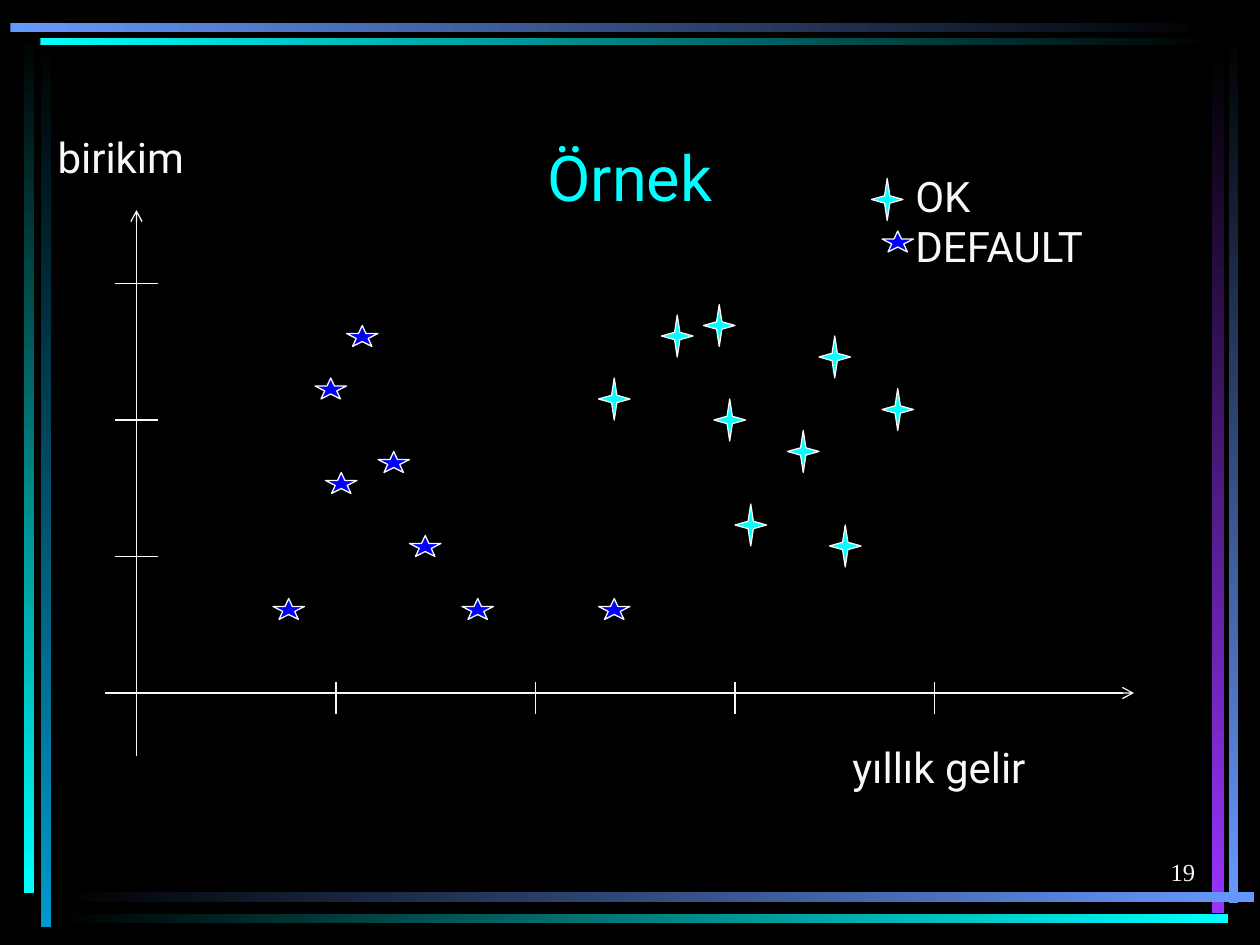
from lxml.etree import SubElement
from pptx import Presentation
from pptx.dml.color import RGBColor
from pptx.enum.shapes import MSO_CONNECTOR as CONNECTOR, MSO_SHAPE as SHAPE
from pptx.enum.text import MSO_ANCHOR as ANCHOR, MSO_AUTO_SIZE as AUTO_SIZE, PP_ALIGN as ALIGN
from pptx.oxml.ns import qn
from pptx.util import Pt

PX = 3810
COLORS = {
    "black": "000000",
    "white": "F8F8F8",
    "cyan": "00FFFF",
    "blue": "0000FF",
    "sky": "6699FF",
    "teal": "0099CC",
    "purple": "9933FF",
}


def rgb(name):
    return RGBColor.from_string(COLORS[name])


def emu(*lengths):
    return [length * PX for length in lengths]


class SlideBuilder:
    font = "Roboto"
    line_width = Pt(0.75)

    def __init__(self, slide):
        self.slide = slide
        self.shapes = slide.shapes
        fill = slide.background.fill
        fill.solid()
        fill.fore_color.rgb = rgb("black")

    def bar(self, left, top, width, height, start, end):
        shape = self.shapes.add_shape(SHAPE.RECTANGLE, *emu(left, top, width, height))
        shape.shadow.inherit = False
        shape.line.fill.background()
        shape.fill.gradient()
        shape.fill.gradient_angle = 0 if width > height else 270
        for stop, position, color in zip(shape.fill.gradient_stops, (0, 1), (start, end)):
            stop.position = position
            stop.color.rgb = rgb(color)

    def line(self, x1, y1, x2, y2, arrow=None):
        connector = self.shapes.add_connector(CONNECTOR.STRAIGHT, *emu(x1, y1, x2, y2))
        connector.line.color.rgb = rgb("white")
        connector.line.width = self.line_width
        if arrow:
            SubElement(connector.line._get_or_add_ln(), qn(f"a:{arrow}End"), type="arrow")
        SubElement(connector._element.spPr, qn("a:effectLst"))

    def style_marker(self, shape, color):
        shape.shadow.inherit = False
        shape.fill.solid()
        shape.fill.fore_color.rgb = rgb(color)
        shape.line.color.rgb = rgb("white")
        shape.line.width = self.line_width

    def default_marker(self, left, top):
        shape = self.shapes.add_shape(SHAPE.STAR_5_POINT, *emu(left, top, 60, 40))
        self.style_marker(shape, "blue")

    def ok_marker(self, left, top):
        points = [(0, 40), (25, 33), (30, 0), (35, 33), (60, 40), (35, 47), (30, 80), (25, 47)]
        vertices = [emu(left + x, top + y) for x, y in points]
        builder = self.shapes.build_freeform(*vertices[0])
        builder.add_line_segments(vertices[1:], close=True)
        self.style_marker(builder.convert_to_shape(), "cyan")

    def text(self, left, top, width, height, text, size=24, color="white", font=None,
             align=ALIGN.LEFT, anchor=ANCHOR.TOP, wrap=True, grow=False):
        frame = self.shapes.add_textbox(*emu(left, top, width, height)).text_frame
        frame.text = text
        frame.word_wrap = wrap
        frame.vertical_anchor = anchor
        frame.auto_size = AUTO_SIZE.SHAPE_TO_FIT_TEXT if grow else AUTO_SIZE.NONE
        for paragraph in frame.paragraphs:
            paragraph.alignment = align
            for run in paragraph.runs:
                run.font.name = font or self.font
                run.font.size = Pt(size)
                run.font.color.rgb = rgb(color)


def main():
    presentation = Presentation()
    presentation.slide_width, presentation.slide_height = emu(2400, 1800)
    builder = SlideBuilder(presentation.slides.add_slide(presentation.slide_layouts[6]))

    for bar in [
        (79, 67, 19, 1699, "black", "teal"),
        (46, 60, 19, 1642, "black", "cyan"),
        (2342, 58, 17, 1663, "black", "sky"),
        (2309, 101, 22, 1639, "black", "purple"),
        (108, 1699, 2280, 19, "black", "sky"),
        (108, 1740, 2232, 19, "black", "cyan"),
        (77, 72, 2237, 14, "cyan", "black"),
        (20, 44, 2294, 17, "sky", "black"),
    ]:
        builder.bar(*bar)

    builder.text(180, 160, 2040, 260, "Örnek", size=36, color="cyan",
                 align=ALIGN.CENTER, anchor=ANCHOR.BOTTOM)

    builder.line(260, 400, 260, 1440, arrow="head")
    builder.line(200, 1320, 2160, 1320, arrow="tail")
    for x in range(640, 1781, 380):
        builder.line(x, 1300, x, 1360)
    for y in range(540, 1061, 260):
        builder.line(220, y, 300, y)
    builder.text(1600, 1400, 540, 120, "yıllık gelir", grow=True)
    builder.text(86, 238, 310, 120, "birikim", wrap=False, grow=True)

    default_points = [(660, 620), (600, 720), (620, 900), (720, 860),
                      (780, 1020), (520, 1140), (880, 1140), (1140, 1140)]
    ok_points = [(1340, 580), (1140, 720), (1400, 960), (1560, 640), (1360, 760),
                 (1680, 740), (1260, 600), (1500, 820), (1580, 1000)]
    for point in default_points:
        builder.default_marker(*point)
    for point in ok_points:
        builder.ok_marker(*point)

    builder.text(1720, 312, 389, 216, "OK\nDEFAULT", anchor=ANCHOR.MIDDLE,
                 wrap=False, grow=True)
    builder.default_marker(1680, 440)
    builder.ok_marker(1660, 340)

    builder.text(1800, 1580, 500, 120, "19", size=14, font="Times New Roman",
                 align=ALIGN.RIGHT, anchor=ANCHOR.BOTTOM)
    presentation.save("out.pptx")


if __name__ == "__main__":
    main()
